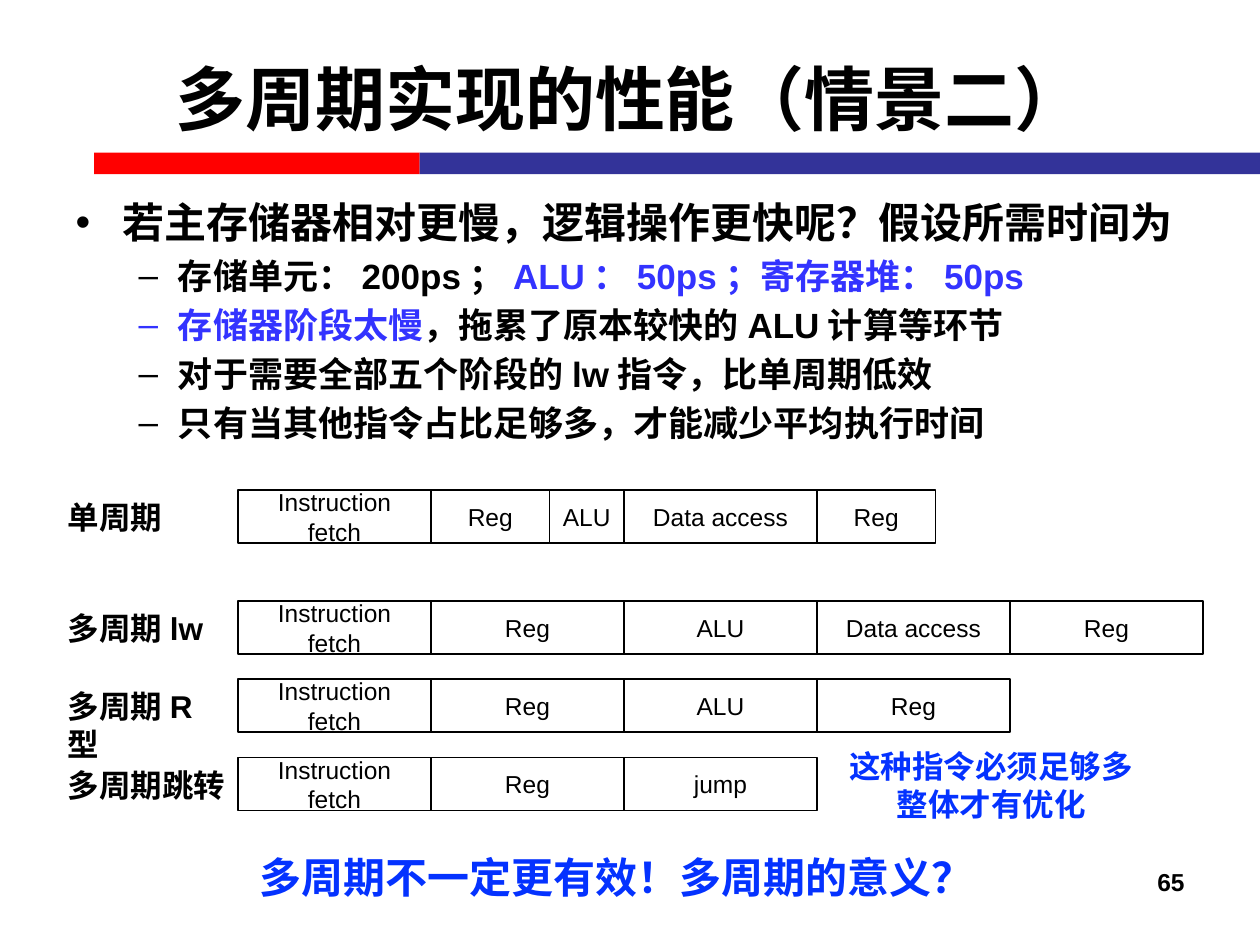
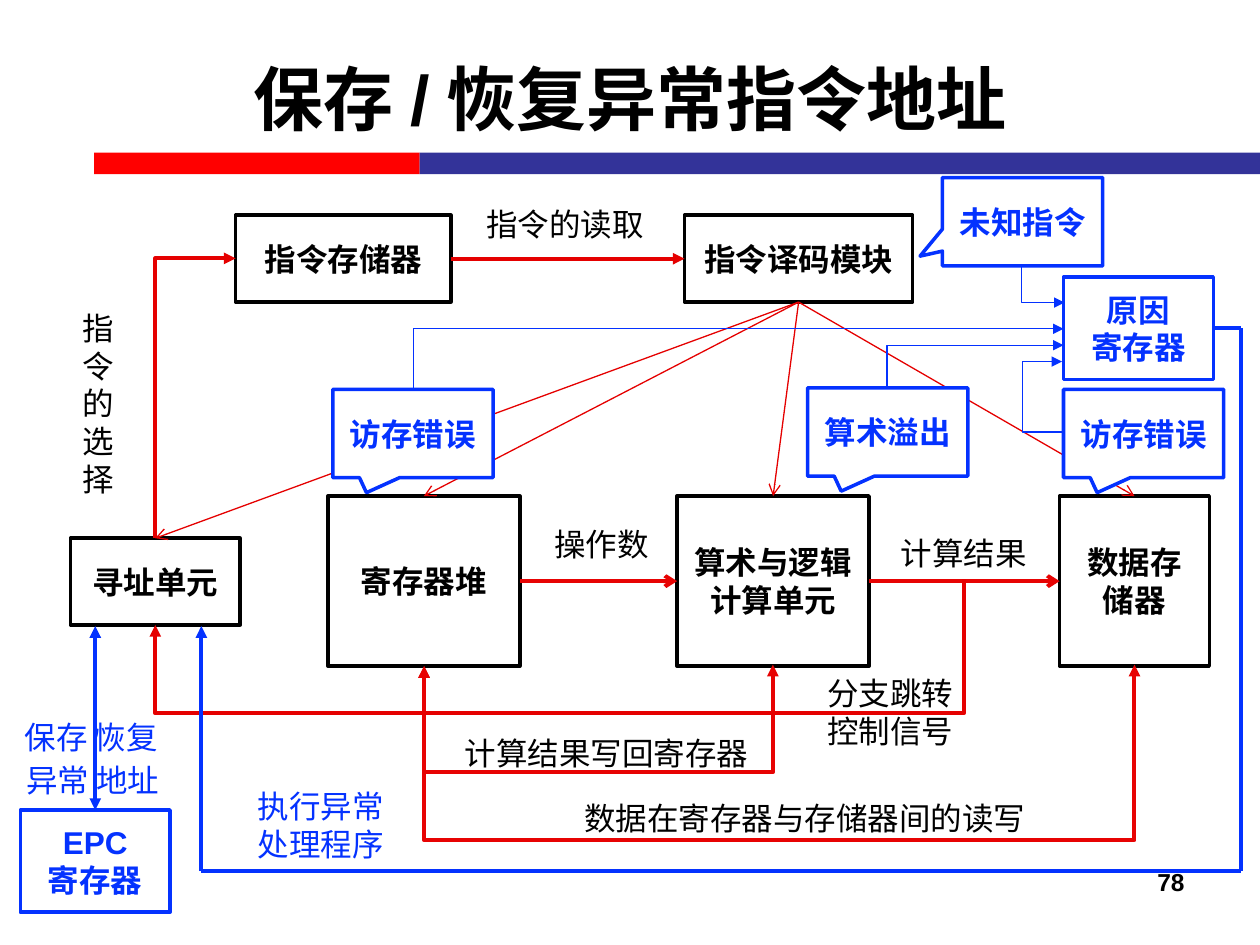
from dataclasses import dataclass

from lxml import etree
from pptx import Presentation
from pptx.dml.color import RGBColor
from pptx.enum import shapes, text
from pptx.oxml.ns import qn
from pptx.util import Cm, Pt


@dataclass(frozen=True)
class Theme:
    font: str = "Arial"
    black: str = "000000"
    white: str = "FFFFFF"
    band_red: str = "FF0000"
    band_blue: str = "333399"
    accent: str = "3333FF"
    blue: str = "0432FF"
    data_red: str = "E70303"
    control_red: str = "E50000"
    title: int = 40
    heading: int = 24
    item: int = 20
    label: int = 18
    small: int = 14
    thin: float = 0.75
    cell: float = 1
    frame: float = 2
    thick: float = 2.25


THEME = Theme()
CENTER = text.PP_ALIGN.CENTER
RECTANGLE = shapes.MSO_SHAPE.RECTANGLE
TOP, LEFT, BOTTOM, RIGHT = range(4)


def add_run(paragraph, words, size, color=THEME.black, bold=False):
    run = paragraph.add_run()
    run.text = words
    run.font.name = THEME.font
    run.font.size = Pt(size)
    run.font.bold = bold
    run.font.color.rgb = RGBColor.from_string(color)


def write_lines(frame, lines, size, color, bold, align=None, indent=0):
    """Write one paragraph for each line of text."""
    for number, line in enumerate(lines.split("\n")):
        paragraph = frame.paragraphs[0] if number == 0 else frame.add_paragraph()
        if indent:
            paragraph.level = 1
            paragraph._p.get_or_add_pPr().set("marL", str(Cm(indent)))
        paragraph.alignment = align
        add_run(paragraph, line, size, color, bold)


def style_line(line, color, width, head=None, tail=None):
    line.color.rgb = RGBColor.from_string(color)
    line.width = Pt(width)
    for tag, kind in (("a:headEnd", head), ("a:tailEnd", tail)):
        if kind:
            etree.SubElement(line._get_or_add_ln(), qn(tag), type=kind)


def place(shape, left, top, width, height):
    shape.left, shape.top, shape.width, shape.height = map(Cm, (left, top, width, height))


@dataclass
class Region:
    """A box on a slide, in centimetres; its parts are placed from its corner."""
    slide: object
    left: float
    top: float
    width: float
    height: float

    def point(self, x, y):
        return Cm(self.left + x), Cm(self.top + y)

    def block(self, words, x, y, width, height, color=THEME.black, size=THEME.label,
              bold=True, weight=THEME.frame, fill=None, kind=RECTANGLE):
        shape = self.slide.shapes.add_shape(kind, *self.point(x, y), Cm(width), Cm(height))
        shape.shadow.inherit = False
        if fill:
            shape.fill.solid()
            shape.fill.fore_color.rgb = RGBColor.from_string(fill)
        else:
            shape.fill.background()
        style_line(shape.line, color, weight)
        shape.text_frame.vertical_anchor = text.MSO_ANCHOR.MIDDLE
        write_lines(shape.text_frame, words, size, color, bold, CENTER)
        return shape

    def note(self, words, x, y, width, height=1.02, color=THEME.black, size=THEME.label,
             bold=False, align=None, indent=0, grow=True):
        box = self.slide.shapes.add_textbox(*self.point(x, y), Cm(width), Cm(height))
        frame = box.text_frame
        frame.word_wrap = True
        if grow:
            frame.auto_size = text.MSO_AUTO_SIZE.SHAPE_TO_FIT_TEXT
        write_lines(frame, words, size, color, bold, align, indent)

    def callout(self, words, x, y, tip=(-0.29, 0.67)):
        shape = self.block(words, x, y, 3.23, 1.78, THEME.blue, fill=THEME.white,
                           kind=shapes.MSO_SHAPE.RECTANGULAR_CALLOUT)
        shape.adjustments[0], shape.adjustments[1] = tip

    def connector(self, kind, start, end, color, width, head=None, tail=None):
        connector = self.slide.shapes.add_connector(kind, *self.point(*start), *self.point(*end))
        style_line(connector.line, color, width, head, tail)
        etree.SubElement(connector._element.spPr, qn("a:effectLst"))
        return connector

    def line(self, start, end, color, width=THEME.thick, head=None, tail=None):
        """Each end is a point, or a shape with the number of one of its sides."""
        points = [(0, 0) if hasattr(at[0], "shape_id") else at for at in (start, end)]
        connector = self.connector(shapes.MSO_CONNECTOR.STRAIGHT, *points, color, width, head, tail)
        if points[0] != start:
            connector.begin_connect(*start)
        if points[1] != end:
            connector.end_connect(*end)

    def elbow(self, start, end, color, width=THEME.thick, turn=None, head=None, tail="triangle"):
        """Leave start vertically, turn at the height `turn` (default: that of end)."""
        (x1, y1), (x2, y2) = start, end
        dx, dy = x2 - x1, y2 - y1
        length, breadth = abs(dy), abs(dx)
        left, top = (x1 + x2 - length) / 2, (y1 + y2 - breadth) / 2
        connector = self.connector(shapes.MSO_CONNECTOR.ELBOW, (left, top),
                                   (left + length, top + breadth), color, width, head, tail)
        properties = connector._element.spPr
        frame = properties.find(qn("a:xfrm"))
        frame.set("rot", str((270 if dx > 0 and dy > 0 else 90) * 60000))
        frame.set("flipH", str(int(dx > 0 or dy < 0)))
        frame.set("flipV", str(int(dx > 0 and dy < 0)))
        geometry = properties.find(qn("a:prstGeom"))
        if turn is None:
            geometry.set("prst", "bentConnector2")
        else:
            guides = geometry.find(qn("a:avLst"))
            if guides is None:
                guides = etree.SubElement(geometry, qn("a:avLst"))
            share = round((turn - y1) / dy * 100000)
            etree.SubElement(guides, qn("a:gd"), name="adj1", fmla=f"val {share}")


def add_master_bands(presentation, slide):
    """Make the two title bands and move them to the slide master."""
    tree = presentation.slide_master.shapes._spTree
    for left, width, color in ((1.9, 6.56, THEME.band_red), (8.46, 16.94, THEME.band_blue)):
        band = slide.shapes.add_shape(RECTANGLE, Cm(left), Cm(3.08), Cm(width), Cm(0.43))
        band.shadow.inherit = False
        band.fill.solid()
        band.fill.fore_color.rgb = RGBColor.from_string(color)
        band.line.fill.background()
        tree.append(band._element)


def start_slide(presentation, layout, title, number):
    slide = presentation.slides.add_slide(presentation.slide_layouts.get_by_name(layout))
    place(slide.shapes.title, 1.27, 0.38, 22.86, 3.18)
    write_lines(slide.shapes.title.text_frame, title, THEME.title, THEME.black, True, CENTER)
    page = Region(slide, 0, 0, 25.4, 19.05)
    page.note(number, 18.21, 17.35, 5.92, 1.32, size=THEME.small, bold=True,
              align=text.PP_ALIGN.RIGHT, grow=False)
    return page


def fill_body(region):
    items = [
        (0, [("若主存储器相对更慢，逻辑操作更快呢？假设所需时间为", THEME.black)]),
        (1, [("存储单元：200ps；", THEME.black), ("ALU：50ps；寄存器堆：50ps", THEME.accent)]),
        (1, [("存储器阶段太慢", THEME.accent), ("，拖累了原本较快的ALU计算等环节", THEME.black)]),
        (1, [("对于需要全部五个阶段的lw指令，比单周期低效", THEME.black)]),
        (1, [("只有当其他指令占比足够多，才能减少平均执行时间", THEME.black)]),
    ]
    body = region.slide.placeholders[1]
    place(body, region.left, region.top, region.width, region.height)
    frame = body.text_frame
    frame.auto_size = text.MSO_AUTO_SIZE.NONE
    for number, (level, runs) in enumerate(items):
        paragraph = frame.add_paragraph() if number else frame.paragraphs[0]
        paragraph.level = level
        if number == 0:
            paragraph.space_before = Pt(0)
        for words, color in runs:
            add_run(paragraph, words, THEME.item if level else THEME.heading, color, True)


def draw_timelines(region):
    cycle, register, alu = 3.89, 2.39, 1.5
    fetch, access = "Instruction fetch", "Data access"
    rows = [
        (0, "单周期", 3.12, [fetch, "Reg", "ALU", access, "Reg"],
         [cycle, register, alu, cycle, register]),
        (2.24, "多周期lw", 3.53, [fetch, "Reg", "ALU", access, "Reg"], [cycle] * 5),
        (3.81, "多周期R型", 3.61, [fetch, "Reg", "ALU", "Reg"], [cycle] * 4),
        (5.39, "多周期跳转", 4.04, [fetch, "Reg", "jump"], [cycle] * 3),
    ]
    for top, label, label_width, stages, widths in rows:
        left = 3.68
        for stage, width in zip(stages, widths):
            region.block(stage, left, top, width, 1.07, size=THEME.small, bold=False,
                         weight=THEME.cell)
            left += width
        region.note(label, 0, top + 0.04, label_width, bold=True)
    region.note("这种指令必须足够多\n整体才有优化", 13.92, 5.06, 8.61, 1.8, THEME.blue,
                bold=True, align=CENTER, indent=1.27)
    region.note("多周期不一定更有效！多周期的意义？", 2.59, 7.16, 21.06, 1.27, THEME.blue,
                THEME.heading, True, indent=1.27)


def draw_datapath(region):
    """Draw the units with their data and control lines; return the addressing unit."""
    alu = region.block("算术与逻辑计算单元", 13.65, 10, 3.87, 3.43)
    registers = region.block("寄存器堆", 6.61, 10, 3.87, 3.43)
    decoder = region.block("指令译码模块", 13.8, 4.34, 4.6, 1.75)
    addressing = region.block("寻址单元", 1.42, 10.85, 3.42, 1.75)
    instructions = region.block("指令存储器", 4.75, 4.34, 4.34, 1.75)
    memory = region.block("数据存储器", 21.36, 10, 3.02, 3.43)

    region.line((registers, RIGHT), (alu, LEFT), THEME.data_red, tail="arrow")
    region.line((alu, RIGHT), (memory, LEFT), THEME.data_red, tail="arrow")
    region.line((instructions, RIGHT), (decoder, LEFT), THEME.control_red, tail="triangle")
    region.elbow((3.13, 10.85), (4.75, 5.21), THEME.control_red)
    for x, turn in ((22.87, 16.94), (15.58, 15.57)):
        region.elbow((8.55, 13.43), (x, 13.4), THEME.data_red, turn=turn, head="triangle")
    for unit in (alu, registers, memory, addressing):
        region.line((decoder, BOTTOM), (unit, TOP), THEME.control_red, THEME.thin, tail="arrow")
    region.elbow((19.43, 11.68), (3.13, 12.6), THEME.control_red, turn=14.38)

    region.note("指令的选择", 1.42, 6.1, 1.17, 4.11)
    region.note("指令的读取", 9.55, 4.01, 4.14)
    region.note("数据在寄存器与存储器间的读写", 11.53, 15.98, 9.83)
    region.note("计算结果写回寄存器", 9.12, 14.68, 6.73)
    region.note("操作数", 10.92, 10.46, 2.54)
    region.note("计算结果", 17.91, 10.64, 3.1)
    region.note("分支跳转控制信号", 16.43, 13.46, 3.35, 1.8)


def draw_exception_path(region):
    """Draw the exception callouts, their registers and the blue lines between them."""
    region.callout("未知指令", 19, 3.58, tip=(-0.64, 0.39))
    region.callout("访存错误", 6.71, 7.85)
    region.callout("访存错误", 21.44, 7.85)
    region.callout("算术溢出", 16.28, 7.82)
    cause, epc = (region.block(words, x, y, 3.02, 2.06, THEME.blue, fill=THEME.white)
                  for words, x, y in (("原因\n寄存器", 21.44, 5.59), ("EPC\n寄存器", 0.41, 16.33)))

    for start, end in (((20.6, 5.34), (21.46, 6.1)), ((17.88, 7.82), (21.44, 6.96)),
                       ((8.33, 7.85), (21.44, 6.63))):
        region.elbow(start, end, THEME.blue, THEME.thin)
    builder = region.slide.shapes.build_freeform(*region.point(21.44, 8.71))
    builder.add_line_segments([region.point(*corner) for corner in
                               ((20.62, 8.71), (20.62, 7.29), (21.41, 7.29))], close=False)
    memory_error = builder.convert_to_shape()
    memory_error.shadow.inherit = False
    memory_error.fill.background()
    style_line(memory_error.line, THEME.blue, THEME.thin, tail="triangle")

    handler_x, side_x, floor_y = 4.06, 25.02, 17.56
    region.line((cause, RIGHT), (side_x, 6.62), THEME.blue)
    region.line((side_x, 6.62), (side_x, floor_y), THEME.blue)
    region.line((handler_x, floor_y), (side_x, floor_y), THEME.blue)
    region.line((handler_x, floor_y), (handler_x, 12.62), THEME.blue, tail="triangle")
    region.line((1.92, 12.62), (epc, TOP), THEME.blue, head="triangle", tail="triangle")

    region.note("执行异常\n处理程序", 4.95, 15.75, 3.1, 1.8, THEME.blue)
    region.note("保存 恢复", 0.25, 14.35, 3.5, color=THEME.blue)
    region.note("异常 地址", 0.28, 15.21, 3.5, color=THEME.blue)


def main():
    presentation = Presentation()
    presentation.slide_width, presentation.slide_height = Cm(25.4), Cm(19.05)

    performance = start_slide(presentation, "Title and Content", "多周期实现的性能（情景二）", "65")
    add_master_bands(presentation, performance.slide)
    fill_body(Region(performance.slide, 1.27, 3.84, 23.42, 13.59))
    draw_timelines(Region(performance.slide, 1.12, 9.88, 23.65, 8.43))

    exceptions = start_slide(presentation, "Title Only", "保存/恢复异常指令地址", "78")
    draw_datapath(exceptions)
    draw_exception_path(exceptions)

    presentation.save("out.pptx")


if __name__ == "__main__":
    main()
